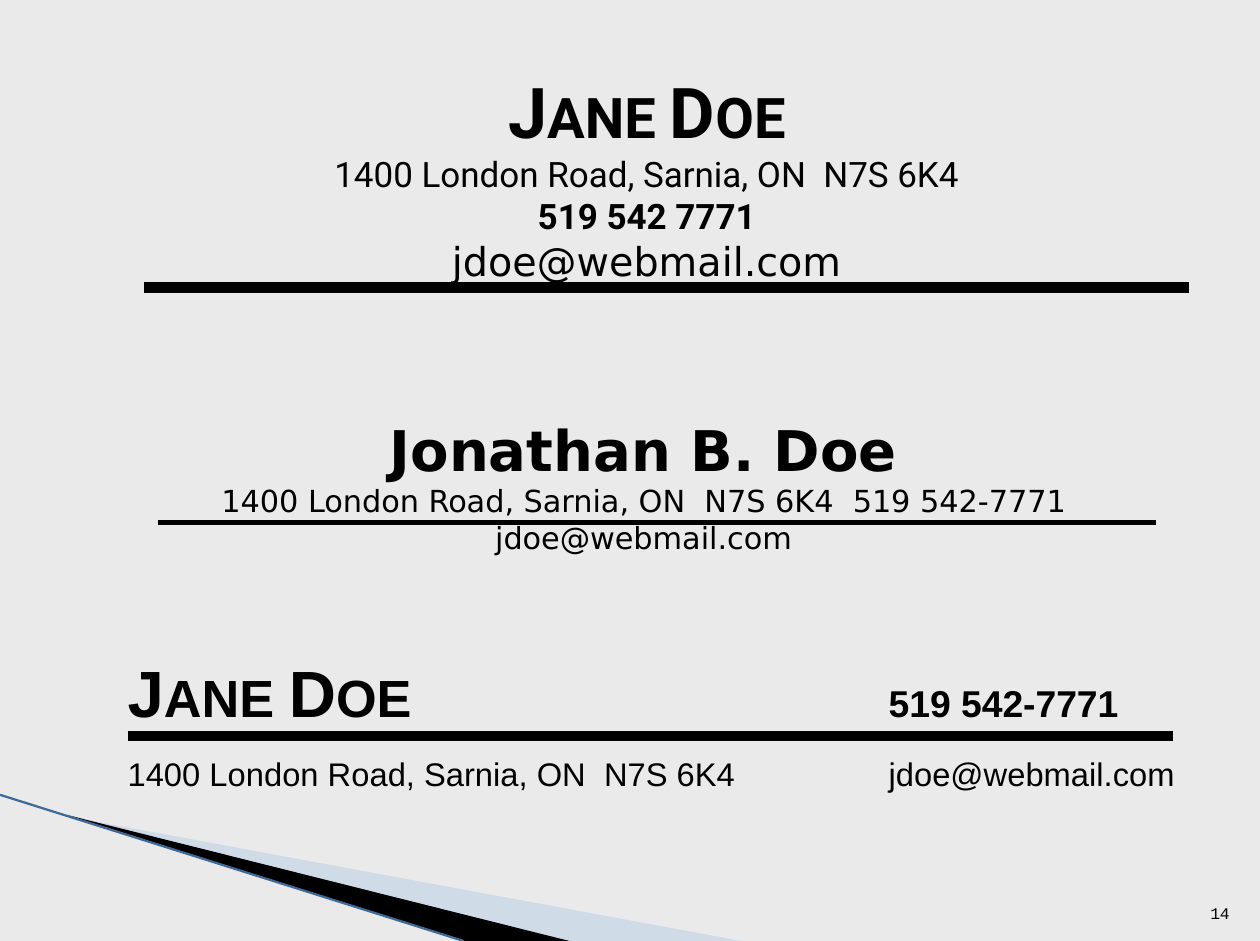
from lxml.etree import SubElement
from pptx import Presentation
from pptx.dml.color import RGBColor
from pptx.enum.shapes import MSO_CONNECTOR
from pptx.enum.text import MSO_ANCHOR, PP_ALIGN
from pptx.oxml.ns import qn
from pptx.util import Inches, Pt

# Grid: 75 columns by 56 rows
COLS, ROWS = 75, 56
deck = Presentation()
deck.slide_width, deck.slide_height = Inches(7.5), Inches(5.6)
CELL = deck.slide_width / COLS
INK = "000000"


def grid(*cells):
    return [round(n * CELL) for n in cells]


def paint(target, color):
    target.rgb = RGBColor.from_string(color)


def rule(slide, x1, y1, x2, y2, width, color=INK):
    line = slide.shapes.add_connector(MSO_CONNECTOR.STRAIGHT, *grid(x1, y1, x2, y2))
    line.line.width = Pt(width)
    paint(line.line.color, color)
    SubElement(line._element.spPr, qn("a:effectLst"))


def wedge(slide, points, color, alpha=None):
    spots = [grid(*point) for point in points]
    build = slide.shapes.build_freeform(*spots[0], scale=1.0)
    build.add_line_segments(spots[1:], close=True)
    shape = build.convert_to_shape()
    shape.shadow.inherit = False
    shape.line.fill.background()
    shape.fill.solid()
    paint(shape.fill.fore_color, color)
    if alpha:
        tint = shape._element.spPr.find(".//" + qn("a:srgbClr"))
        SubElement(tint, qn("a:alpha"), val=str(alpha * 1000))


def frame(slide, box, anchor=MSO_ANCHOR.TOP):
    text = slide.shapes.add_textbox(*grid(*box)).text_frame
    text.word_wrap = True
    text.vertical_anchor = anchor
    text.margin_left = text.margin_right = Inches(0.07)
    text.margin_top = text.margin_bottom = Inches(0.04)
    return text


def write(para, words, size, font, bold=False, small=False):
    run = para.add_run()
    run.text = words
    run.font.size, run.font.name, run.font.bold = Pt(size), font, bold
    paint(run.font.color, INK)
    if small:
        run.font._element.set("cap", "small")


# Letterhead with centred lines over a rule
def center(slide, box, lines, bar):
    left, top, wide, high = box
    text = frame(slide, box)
    for i, line in enumerate(lines):
        para = text.add_paragraph() if i else text.paragraphs[0]
        para.alignment = PP_ALIGN.CENTER
        write(para, *line)
    inset, drop, span, width = bar
    rule(slide, left + inset, top + drop, left + inset + span, top + drop, width)


# Letterhead in two columns, split by a rule
def split(slide, box, rows, stop):
    left, top, wide, high = box
    text = frame(slide, box)
    for i, (first, gap, last) in enumerate(rows):
        para = text.add_paragraph() if i else text.paragraphs[0]
        para.space_before = Pt(8.5 * i)
        tabs = SubElement(para._p.get_or_add_pPr(), qn("a:tabLst"))
        SubElement(tabs, qn("a:tab"), pos=str(grid(stop)[0]), algn="l")
        write(para, *first)
        write(para, "\t", gap, "Arial")
        write(para, *last)
    rule(slide, left + 0.7, top + 6.5, left + 62.9, top + 6.5, 4.5)


# Corner wedges and page number
def decor(slide, box):
    left, top, wide, high = box
    base = top + high
    wedge(slide, [(left + 4.1, base - 7.4), (left + 44.1, base), (left + 33.8, base)],
          "ABC6E6", 40)
    wedge(slide, [(left + 4, base - 7.5), (left + 33.9, base), (left + 27.6, base)], INK)
    rule(slide, left, base - 8.7, left + 27.6, base, 0.95, "3D6A97")
    text = frame(slide, (left + wide - 4.1, base - 3.7, 3, 3), MSO_ANCHOR.BOTTOM)
    para = text.paragraphs[0]
    para.alignment = PP_ALIGN.RIGHT
    write(para, "14", 7, "Courier New")


def main():
    slide = deck.slides.add_slide(deck.slide_layouts[6])
    slide.background.fill.solid()
    paint(slide.background.fill.fore_color, "EAEAEA")
    street, mail = "1400 London Road, Sarnia, ON  N7S 6K4", "jdoe@webmail.com"
    decor(slide, (0, 0, COLS, ROWS))
    center(slide, (4.4, 3.7, 68.2, 22.3), [
        ("Jane Doe", 30, "Roboto", True, True),
        (street, 15, "Roboto"),
        ("519 542 7771", 15, "Roboto", True),
        (mail, 17, "DejaVu Sans"),
    ], (4.2, 13.4, 62.2, 4.5))
    center(slide, (7.6, 24.3, 61.4, 11.4), [
        ("Jonathan B. Doe", 24, "DejaVu Sans", True),
        (f"{street}  519 542-7771 {mail}", 13, "DejaVu Sans"),
    ], (1.8, 6.8, 59.4, 2.25))
    split(slide, (6.9, 37.3, 65, 10.3), [
        (("Jane Doe", 28, "Arial", True, True), 36, ("519 542-7771", 16, "Arial", True)),
        ((street, 14, "Arial"), 14, (mail, 14, "Arial")),
    ], 45.3)
    deck.save("out.pptx")


if __name__ == "__main__":
    main()
